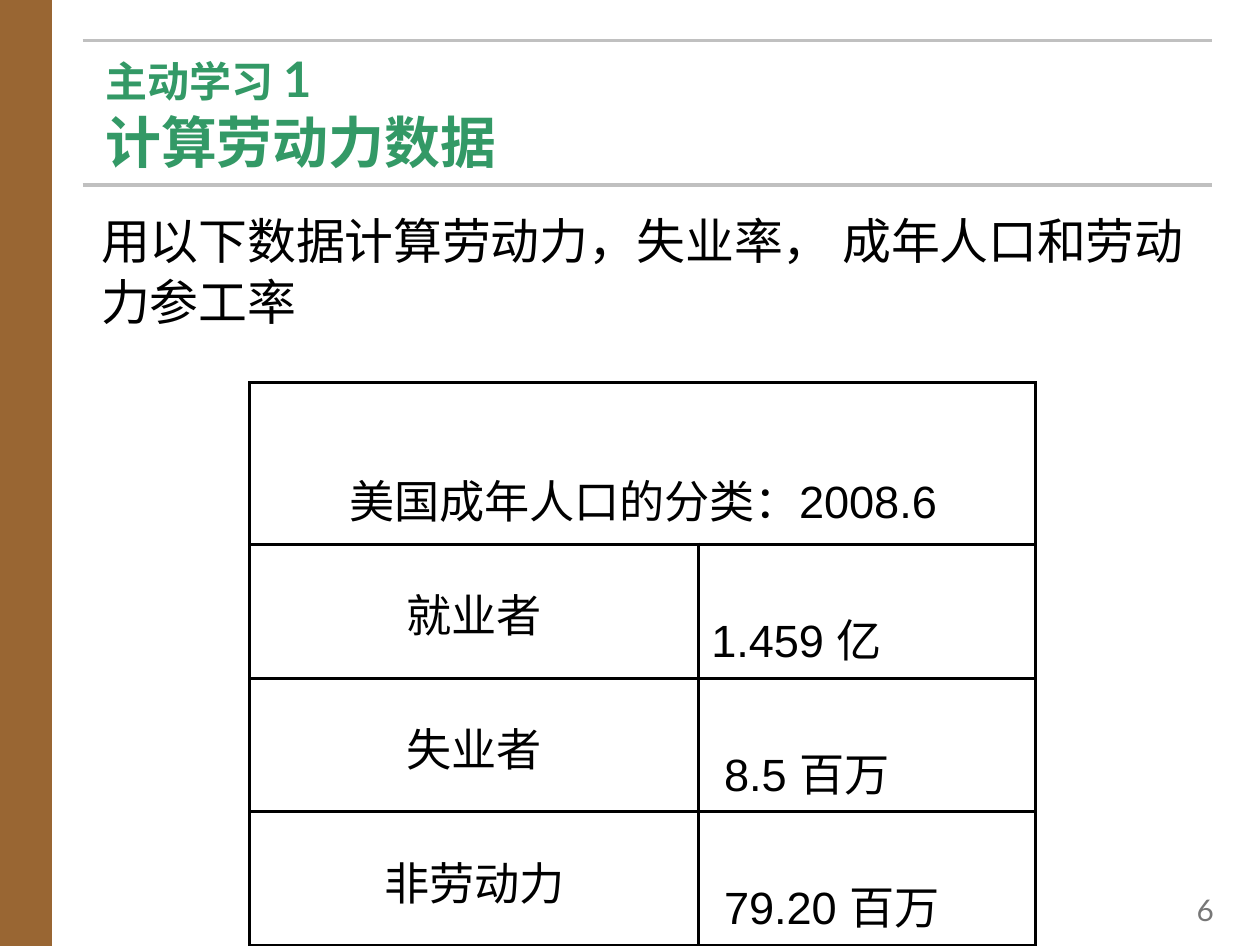
from dataclasses import dataclass

from lxml import etree
from pptx import Presentation
from pptx.dml.color import RGBColor
from pptx.enum import shapes, text
from pptx.oxml import ns
from pptx.util import Cm, Pt

BROWN = RGBColor(0x99, 0x66, 0x33)
GREEN = RGBColor(0x33, 0x99, 0x66)
SILVER = RGBColor(0xC0, 0xC0, 0xC0)
GRAY = RGBColor(0x77, 0x77, 0x77)
BLACK = RGBColor(0, 0, 0)
WHITE = RGBColor(0xFF, 0xFF, 0xFF)

LEFT, MIDDLE = text.PP_ALIGN.LEFT, text.MSO_ANCHOR.MIDDLE
CENTER, BOTTOM = text.PP_ALIGN.CENTER, text.MSO_ANCHOR.BOTTOM


@dataclass
class Style:
    size: float
    font: str
    color: RGBColor
    bold: bool = False


@dataclass
class Group:
    label: str
    count: str
    indent: float


TOPIC = Style(12.1, "Lato", GREEN, True)
TOPIC_NUMBER = Style(14.1, "Lato", GREEN, True)
HEADING = Style(16.1, "Cambria", GREEN, True)
TASK = Style(14.1, "Arial", BLACK)
DATA = Style(13, "Arial", BLACK)
PAGE_NUMBER = Style(8.6, "Lato", GRAY)

GROUPS = [
    Group("就业者", "1.459 亿", 0.13),
    Group("失业者", "8.5 百万", 0.26),
    Group("非劳动力", "79.20 百万", 0.26),
]


def set_all(target, values: dict) -> None:
    for name, value in values.items():
        setattr(target, name, value)


def place(box, left: float, top: float, width: float, height: float) -> None:
    set_all(box, {"left": Cm(left), "top": Cm(top),
                  "width": Cm(width), "height": Cm(height)})


def set_frame(frame, side: float, top: float, anchor) -> None:
    set_all(frame, {"margin_left": Cm(side), "margin_right": Cm(side),
                    "margin_top": Cm(top), "margin_bottom": Cm(top),
                    "vertical_anchor": anchor, "word_wrap": True,
                    "auto_size": text.MSO_AUTO_SIZE.NONE})


def add_span(para, words: str, style: Style) -> None:
    span = para.add_run()
    span.text = words
    set_all(span.font, {"size": Pt(style.size), "name": style.font,
                        "bold": style.bold})
    span.font.color.rgb = style.color


def add_rule(page, y: float) -> None:
    rule = page.shapes.add_connector(
        shapes.MSO_CONNECTOR.STRAIGHT, Cm(0.84), Cm(y), Cm(12.32), Cm(y))
    rule.line.color.rgb = SILVER
    rule.line.width = Pt(1)
    etree.SubElement(rule._element.spPr, ns.qn("a:effectLst"))


def add_borders(cell) -> None:
    properties = cell._tc.get_or_add_tcPr()
    for side in ("a:lnL", "a:lnR", "a:lnT", "a:lnB"):
        line = etree.SubElement(properties, ns.qn(side), w=str(Pt(1)))
        fill = etree.SubElement(line, ns.qn("a:solidFill"))
        etree.SubElement(fill, ns.qn("a:srgbClr"), val=str(BLACK))


def fill_cell(cell, words: str, align, anchor, left: float = 0.13,
              bottom: float = 0.08) -> None:
    set_all(cell, {"margin_left": Cm(left), "margin_right": Cm(0.13),
                   "margin_top": Cm(0.08), "margin_bottom": Cm(bottom),
                   "vertical_anchor": anchor})
    para = cell.text_frame.paragraphs[0]
    set_all(para, {"alignment": align, "line_spacing": 1.05})
    add_span(para, words, DATA)


def add_title(page) -> None:
    title = page.shapes.title
    place(title, 0.82, 0.46, 11.51, 1.35)
    set_frame(title.text_frame, 0.25, 0, MIDDLE)
    para = title.text_frame.paragraphs[0]
    para.alignment = LEFT
    add_span(para, "主动学习 ", TOPIC)
    add_span(para, "1", TOPIC_NUMBER)
    para.add_line_break()
    add_span(para, "计算劳动力数据", HEADING)


def add_task(page) -> None:
    body = page.placeholders[1]
    place(body, 0.78, 1.97, 11.53, 1.5)
    set_frame(body.text_frame, 0.25, 0.14, text.MSO_ANCHOR.TOP)
    para = body.text_frame.paragraphs[0]
    properties = para._p.get_or_add_pPr()
    properties.set("marL", "0")
    properties.set("indent", "0")
    etree.SubElement(properties, ns.qn("a:buNone"))
    set_all(para, {"alignment": LEFT, "line_spacing": 1.05,
                   "space_before": Pt(0)})
    add_span(para, "用以下数据计算劳动力，失业率， 成年人口和劳动力参工率", TASK)


def add_population_table(page) -> None:
    widths = (4.56, 3.43)
    heights = [1.64] + [1.36] * len(GROUPS)
    table = page.shapes.add_table(
        len(heights), len(widths), Cm(2.54), Cm(3.89),
        Cm(sum(widths)), Cm(sum(heights))).table
    for column, width in zip(table.columns, widths):
        column.width = Cm(width)
    for row, height in zip(table.rows, heights):
        row.height = Cm(height)
    for cell in table.iter_cells():
        add_borders(cell)
        cell.fill.solid()
        cell.fill.fore_color.rgb = WHITE

    table.cell(0, 0).merge(table.cell(0, 1))
    fill_cell(table.cell(0, 0), "美国成年人口的分类：2008.6", CENTER, BOTTOM,
              bottom=0.13)
    for index, group in enumerate(GROUPS, start=1):
        fill_cell(table.cell(index, 0), group.label, CENTER, MIDDLE)
        fill_cell(table.cell(index, 1), group.count, LEFT, BOTTOM, group.indent)


def add_page_number(page) -> None:
    box = page.shapes.add_textbox(Cm(11.62), Cm(8.99), Cm(0.97), Cm(0.51))
    set_frame(box.text_frame, 0.25, 0.13, MIDDLE)
    para = box.text_frame.paragraphs[0]
    para.alignment = text.PP_ALIGN.RIGHT
    add_span(para, "6", PAGE_NUMBER)


def main() -> None:
    deck = Presentation()
    set_all(deck, {"slide_width": Pt(363), "slide_height": Pt(272.5)})
    page = deck.slides.add_slide(deck.slide_layouts[1])

    bar = page.shapes.add_shape(
        shapes.MSO_SHAPE.RECTANGLE, 0, 0, Cm(0.53), deck.slide_height)
    bar.shadow.inherit = False
    bar.fill.solid()
    bar.fill.fore_color.rgb = BROWN
    bar.line.fill.background()

    add_title(page)
    for y in (0.41, 1.88):
        add_rule(page, y)
    add_page_number(page)
    add_task(page)
    add_population_table(page)
    deck.save("out.pptx")


if __name__ == "__main__":
    main()
